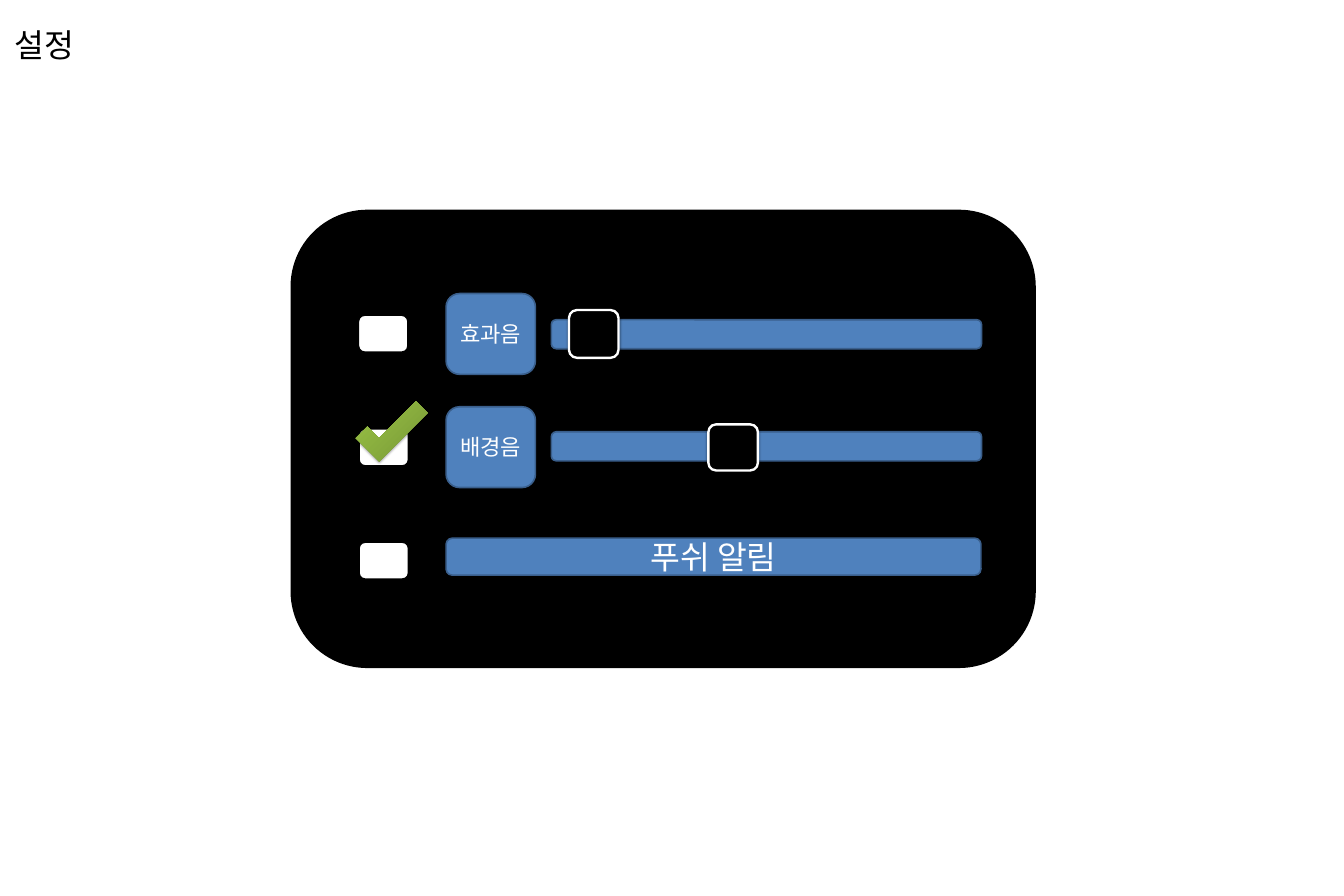
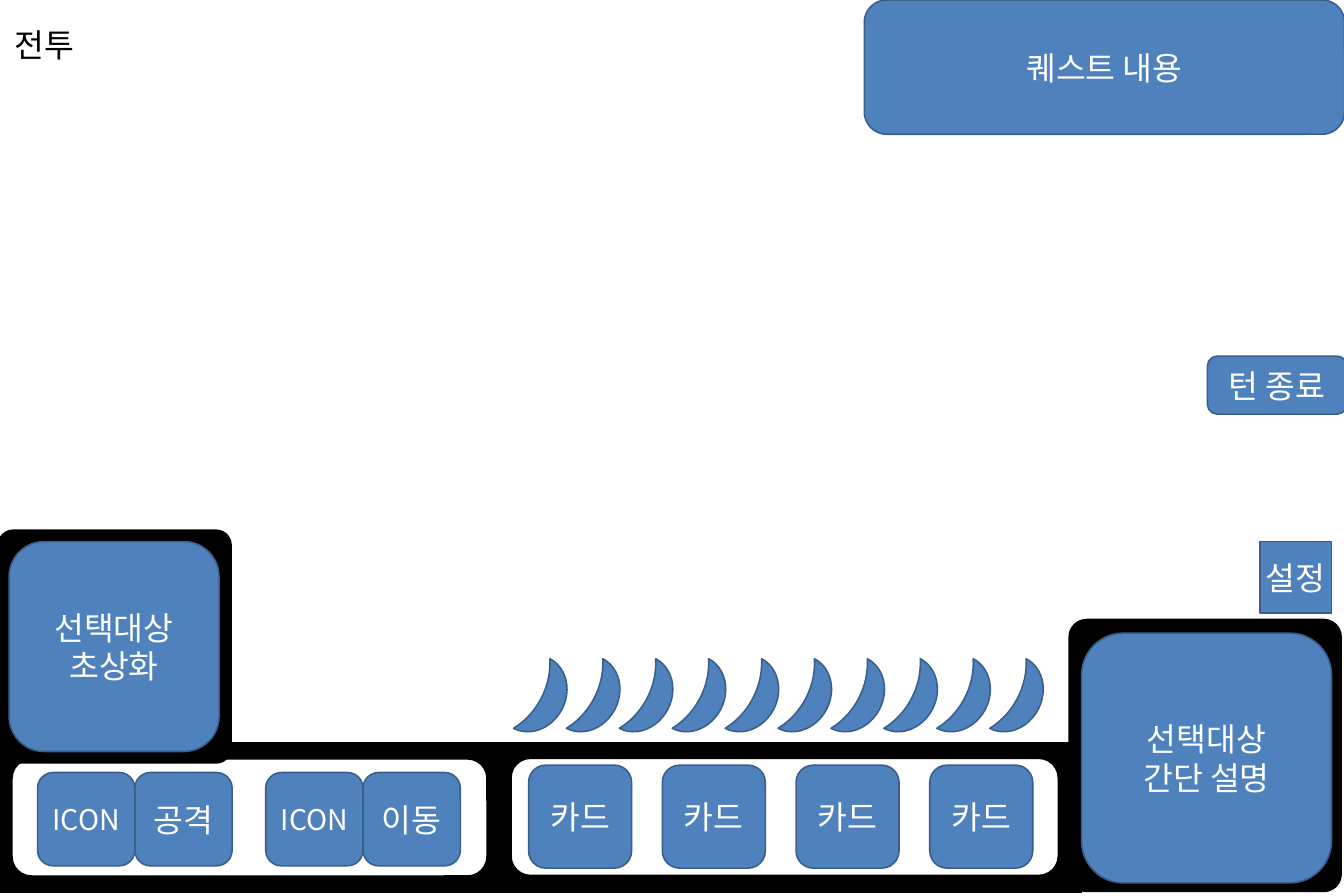
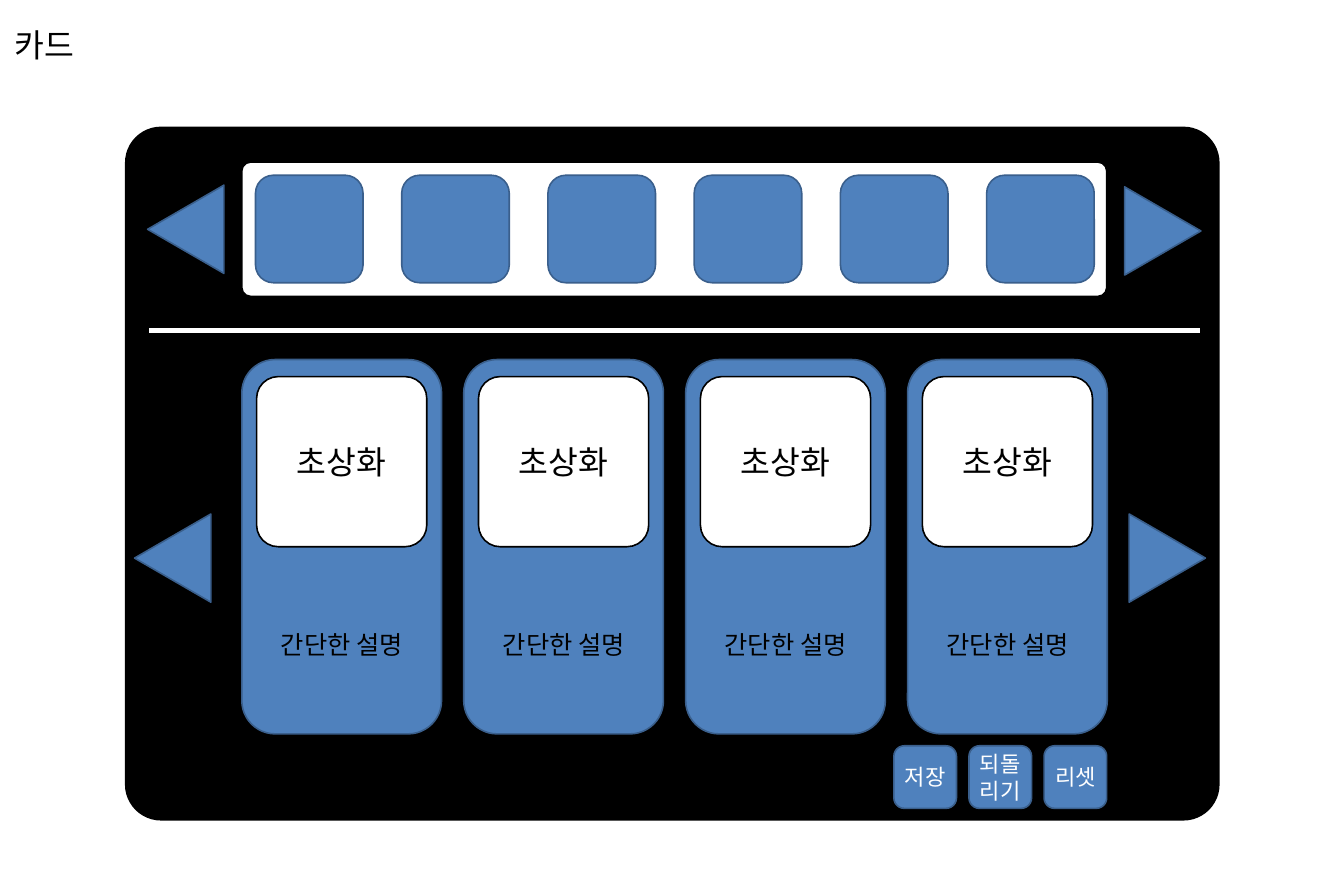
"""Build three game interface wireframes: settings, battle and cards."""
from lxml import etree
from pptx import Presentation
from pptx.dml import color
from pptx.enum import shapes, text
from pptx.oxml import ns
from pptx.util import Inches, Pt

FONT = "Noto Sans CJK KR"
BIG, MID, SMALL = 41, 32, 28
KIND = shapes.MSO_SHAPE
ROUND, RECT = KIND.ROUNDED_RECTANGLE, KIND.RECTANGLE

BLUE = ("4F81BD", "3A5F8C", 2, "FFFFFF")
BLACK = ("000000", "000000", 2, "FFFFFF")
WHITE = ("FFFFFF", "000000", 2, "000000")
THUMB = ("000000", "FFFFFF", 3, "FFFFFF")

CHECKS = [(6.3, 5.54), (6.31, 7.54), (6.31, 9.53)]
SOUNDS = [
    ("효과음", 5.16, 5.62, (10, 5.45, 0.87, 0.84)),
    ("배경음", 7.15, 7.59, (12.45, 7.46, 0.87, 0.81)),
]
PANELS = [
    ((0, 13.05, 19.01, 2.64), BLACK, RECT, None),
    ((8.98, 13.33, 9.62, 2.06), WHITE, ROUND, None),
    ((0.21, 13.34, 8.35, 2.06), WHITE, ROUND, None),
    ((-0.03, 9.32, 4.09, 4.09), BLACK, ROUND, 0.064),
    ((18.79, 10.89, 4.78, 4.78), BLACK, ROUND, 0.064),
]
LABELS = [
    ("선택대상\n초상화", (0.16, 9.52, 3.69, 3.69), ROUND),
    ("선택대상\n간단 설명", (19.01, 11.13, 4.39, 4.39), ROUND),
    ("턴 종료", (21.22, 6.26, 2.45, 1.02), ROUND),
    ("퀘스트 내용", (15.19, 0, 8.44, 2.36), ROUND),
    ("설정", (22.14, 9.52, 1.26, 1.26), RECT),
]
ACTIONS = [("공격", 0.66), ("이동", 4.67)]
ARROWS = [(2.49, 3.36, 270), (19.66, 3.39, 90), (2.26, 9.14, 270), (19.74, 9.14, 90)]
TOOLS = ["저장", "되돌리기", "리셋"]


def rgb(code):
    return color.RGBColor.from_string(code)


def write(shape, words, size, ink, align=text.PP_ALIGN.CENTER):
    frame = shape.text_frame
    frame.text = words
    frame.word_wrap = True
    frame.vertical_anchor = text.MSO_ANCHOR.MIDDLE
    for para in frame.paragraphs:
        para.alignment = align
        for run in para.runs:
            run.font.size = Pt(size)
            run.font.name = FONT
            run.font.color.rgb = rgb(ink)
            east = etree.SubElement(run.font._element, ns.qn("a:ea"))
            east.set("typeface", FONT)


def put(page, box, style=BLUE, kind=ROUND, words="", size=BIG, adj=None, turn=0):
    fill, line, width, ink = style
    shape = page.shapes.add_shape(kind, *map(Inches, box))
    shape.shadow.inherit = False
    shape.fill.solid()
    shape.fill.fore_color.rgb = rgb(fill)
    shape.line.color.rgb = rgb(line)
    shape.line.width = Pt(width)
    shape.rotation = turn
    if adj is not None:
        shape.adjustments[0] = adj
    if words:
        frame = shape.text_frame
        frame.margin_left = frame.margin_right = 0
        write(shape, words, size, ink)
    return shape


def shade(shape, alpha, far):
    effects = shape._element.spPr.find(ns.qn("a:effectLst"))
    outer = etree.SubElement(
        effects, ns.qn("a:outerShdw"), blurRad=str(Pt(3.1)), dist=str(Pt(far)),
        dir="5400000", rotWithShape="0")
    tint = etree.SubElement(outer, ns.qn("a:srgbClr"), val="000000")
    etree.SubElement(tint, ns.qn("a:alpha"), val=str(alpha * 1000))


def note(page, box, words, size, align):
    write(page.shapes.add_textbox(*map(Inches, box)), words, size, "000000", align)


def start(deck, title):
    page = deck.slides.add_slide(deck.slide_layouts[6])
    note(page, (0.16, 0.39, 7.24, 0.79), title, BIG, text.PP_ALIGN.LEFT)
    return page


def tick(page):
    mark = put(page, (6.28, 7.19, 1.21, 0.58), kind=KIND.CORNER, turn=315)
    mark.line.fill.background()
    mark.fill.gradient()
    mark.fill.gradient_angle = 90
    for stop, code in zip(mark.fill.gradient_stops, ("779737", "9DC746")):
        stop.color.rgb = rgb(code)
    shade(mark, 35, 1.8)


def settings(deck):
    page = start(deck, "설정")
    put(page, (5.12, 3.7, 13.07, 8.03), BLACK)
    for left, top in CHECKS:
        put(page, (left, top, 0.87, 0.65), WHITE)
    for name, top, track, thumb in SOUNDS:
        put(page, (7.84, top, 1.57, 1.42), words=name, size=SMALL)
        put(page, (9.69, track, 7.56, 0.51))
        shade(put(page, thumb, THUMB), 38, 1.6)
    tick(page)
    put(page, (7.84, 9.46, 9.4, 0.65), words="푸쉬 알림")


def battle(deck):
    page = start(deck, "전투")
    for box, style, kind, adj in PANELS:
        put(page, box, style, kind, adj=adj)
    for words, box, kind in LABELS:
        put(page, box, kind=kind, words=words)
    for i in range(4):
        put(page, (9.29 + 2.35 * i, 13.45, 1.81, 1.81), words="카드")
    moons = page.shapes.add_group_shape()
    for i in range(10):
        put(moons, (9.31 + 0.93 * i, 11.64, 0.6, 1.38), kind=KIND.MOON,
            adj=0.688, turn=207.6)
    for name, left in ACTIONS:
        put(page, (left + 1.71, 13.58, 1.71, 1.64), words=name)
        put(page, (left, 13.58, 1.71, 1.64), words="ICON", size=36)


def cards(deck):
    page = start(deck, "카드")
    put(page, (2.21, 2.24, 19.21, 12.17), BLACK, adj=0.051)
    put(page, (2.6, 5.75, 18.51, 0.12), WHITE, RECT)
    for left, top, turn in ARROWS:
        put(page, (left, top, 1.55, 1.34), kind=KIND.ISOSCELES_TRIANGLE, turn=turn)
    put(page, (4.25, 2.85, 15.2, 2.36), WHITE, adj=0.065)
    for i in range(6):
        put(page, (4.49 + 2.57 * i, 3.08, 1.89, 1.89))
    for i in range(4):
        left = 4.25 + 3.9 * i
        put(page, (left, 6.32, 3.51, 6.58))
        put(page, (left + 0.26, 6.62, 2.99, 2.99), WHITE, words="초상화", adj=0.127)
        note(page, (left + 0.37, 11.01, 2.78, 0.64), "간단한 설명", MID,
             text.PP_ALIGN.CENTER)
    for i, name in enumerate(TOOLS):
        put(page, (15.71 + 1.32 * i, 13.11, 1.1, 1.1), words=name, size=SMALL)


def main():
    deck = Presentation()
    deck.slide_width, deck.slide_height = Inches(23.62), Inches(15.75)
    for build in (settings, battle, cards):
        build(deck)
    deck.save("out.pptx")


if __name__ == "__main__":
    main()
